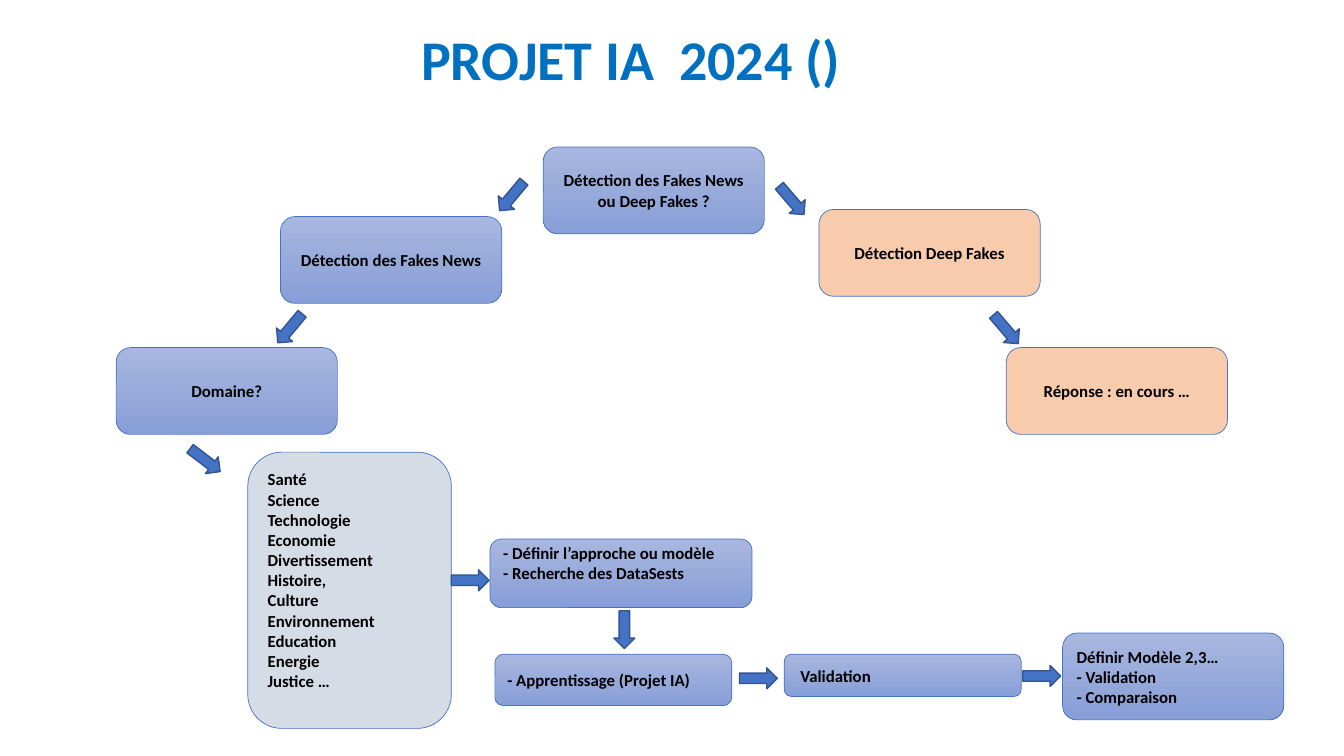
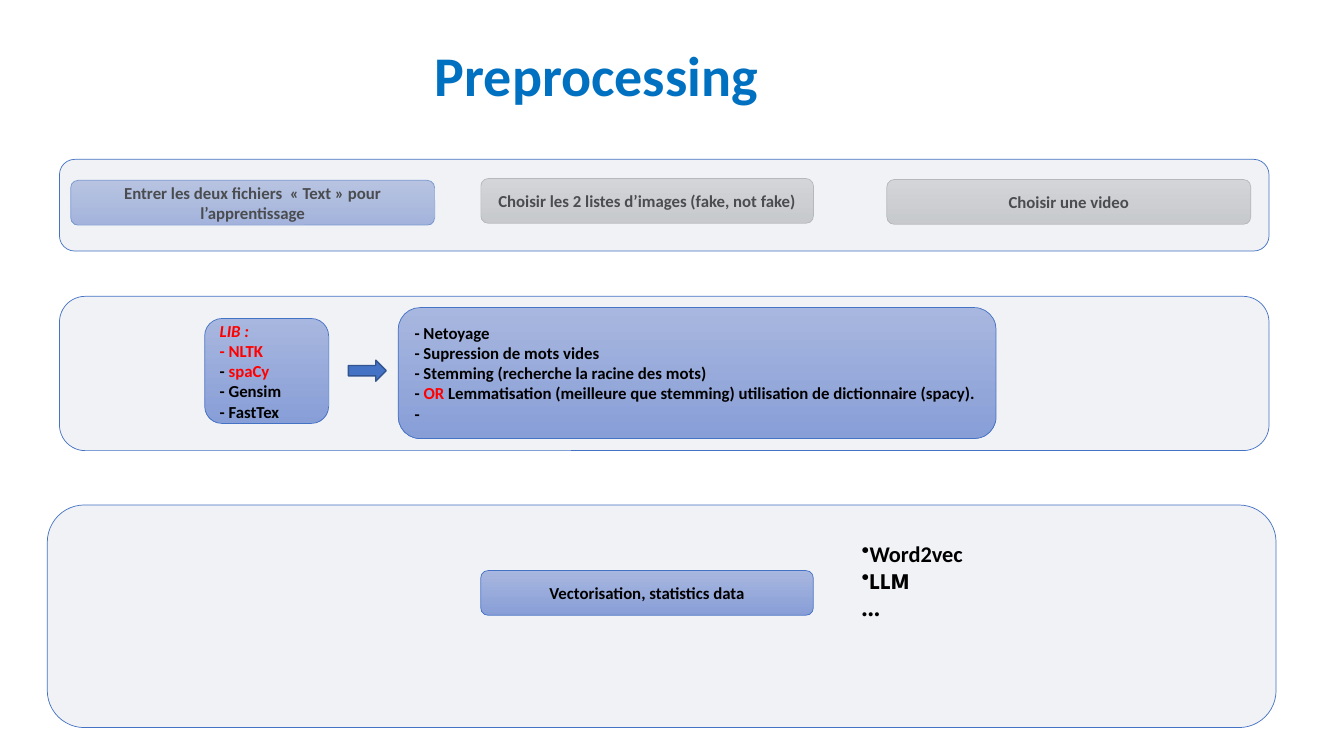
from lxml import etree
from pptx import Presentation
from pptx.dml.color import RGBColor
from pptx.enum.shapes import MSO_SHAPE
from pptx.enum.text import MSO_ANCHOR, MSO_AUTO_SIZE, PP_ALIGN
from pptx.oxml.ns import qn
from pptx.util import Pt

ROUND, ARROW = MSO_SHAPE.ROUNDED_RECTANGLE, MSO_SHAPE.UP_ARROW
LEFT, CENTER = PP_ALIGN.LEFT, PP_ALIGN.CENTER
MIDDLE, BOTTOM = MSO_ANCHOR.MIDDLE, MSO_ANCHOR.BOTTOM
NO_FIT, GROW = MSO_AUTO_SIZE.NONE, MSO_AUTO_SIZE.SHAPE_TO_FIT_TEXT
TITLE_ONLY = 5

COLORS = {
    "title": "0070C0", "text": "000000", "accent": "FF0000",
    "border": "4472C4", "arrow": "4472C4", "arrow_border": "325491",
    "blue_top": "A8B7DF", "blue_bottom": "889ED7",
    "gray_top": "D2D2D2", "gray_bottom": "C0C0C0", "gray_border": "A5A5A5",
    "peach": "F8CBAD", "band": "D6DCE5",
}
FILLS = {
    "blue": (("blue_top", "blue_bottom"), "border"),
    "gray": (("gray_top", "gray_bottom"), "gray_border"),
    "peach": (("peach",), "border"),
    "band": (("band",), "border"),
}
FONT = {"name": "Calibri", "size": Pt(12), "bold": True}
RED = {"color": "accent"}
NODE = (158, 62)
DOWN_LEFT, DOWN_RIGHT, RIGHT, DOWN = 219.9, 139.3, 90, 180
LINE_GAP = 14.6


def rgb(name):
    """Return the named colour."""
    return RGBColor.from_string(COLORS[name])


def add_run(p, text, color="text", **formats):
    """Add one formatted run to a paragraph."""
    r = p.add_run()
    r.text = text
    r.font.color.rgb = rgb(color)
    for name, value in {**FONT, **formats}.items():
        setattr(r.font, name, value)


def write(tf, paragraphs, align=LEFT, **formats):
    """Fill a frame with paragraphs, each a string or a list of (text, formats)."""
    for i, runs in enumerate(paragraphs):
        p = tf.paragraphs[0] if i == 0 else tf.add_paragraph()
        p.alignment = align
        if isinstance(runs, str):
            runs = [(runs, {})]
        for text, extra in runs:
            add_run(p, text, **{**formats, **extra})


def add_shape(s, kind, x, y, w, h, colors, border, width):
    """Add a shape with a plain or two-colour fill and no shadow."""
    sp = s.shapes.add_shape(kind, Pt(x), Pt(y), Pt(w), Pt(h))
    sp.shadow.inherit = False
    if len(colors) == 1:
        sp.fill.solid()
        sp.fill.fore_color.rgb = rgb(colors[0])
    else:
        sp.fill.gradient()
        sp.fill.gradient_angle = 270
        for stop, color in zip(sp.fill.gradient_stops, colors):
            stop.color.rgb = rgb(color)
    sp.line.color.rgb = rgb(border)
    sp.line.width = Pt(width)
    return sp


def add_box(s, x, y, w, h, paragraphs=(), look="blue", align=LEFT, **margins):
    """Add a rounded box with vertically centred text."""
    sp = add_shape(s, ROUND, x, y, w, h, *FILLS[look], 0.5)
    tf = sp.text_frame
    tf.word_wrap = True
    tf.vertical_anchor = MIDDLE
    for side, value in margins.items():
        setattr(tf, f"margin_{side}", Pt(value))
    write(tf, paragraphs, align)
    return sp


def add_band(s, x, y, w, h):
    """Add a translucent band."""
    sp = add_box(s, x, y, w, h, look="band")
    color = sp.element.spPr.find(".//" + qn("a:srgbClr"))
    etree.SubElement(color, qn("a:alpha"), val="35000")


def add_arrow(s, x, y, rotation):
    """Add a small block arrow turned to the given angle."""
    sp = add_shape(s, ARROW, x, y, 15, 27, ("arrow",), "arrow_border", 1)
    sp.rotation = rotation


def add_slide(prs, title, x, y):
    """Add a slide with its title."""
    s = prs.slides.add_slide(prs.slide_layouts[TITLE_ONLY])
    sp = s.shapes.title
    box = {"left": x, "top": y, "width": 767, "height": 42}
    for name, value in box.items():
        setattr(sp, name, Pt(value))
    tf = sp.text_frame
    tf.auto_size = NO_FIT
    tf.word_wrap = True
    tf.vertical_anchor = BOTTOM
    write(tf, [title], CENTER, color="title", size=Pt(40))
    tf.paragraphs[0].line_spacing = 0.9
    return s


def decision_tree(s, x, y):
    """Draw the choice between the two kinds of detection."""
    nodes = [
        (305, 0, "Détection des Fakes News ou Deep Fakes ?", "blue"),
        (117.4, 49.7, "Détection des Fakes News", "blue"),
        (502, 44.6, "Détection Deep Fakes", "peach"),
        (0, 143.3, "Domaine?", "blue"),
        (635.8, 143.3, "Réponse : en cours …", "peach"),
    ]
    for dx, dy, text, look in nodes:
        add_box(s, x + dx, y + dy, *NODE, [text], look, CENTER)
    arrows = [
        (275, 21.6, DOWN_LEFT), (116.6, 116, DOWN_LEFT),
        (475, 24.5, DOWN_RIGHT), (628, 116.7, DOWN_RIGHT),
        (56, 210.2, 127.3),
    ]
    for dx, dy, rotation in arrows:
        add_arrow(s, x + dx, y + dy, rotation)


def pipeline(s, x, y):
    """Draw the list of domains and the modelling steps after it."""
    domains = ["Santé", "Science", "Technologie", "Economie", "Divertissement",
               "Histoire,", "Culture", "Environnement", "Education", "Energie",
               "Justice …"]
    approach = ["- Définir l’approche ou modèle", "- Recherche des DataSests"]
    models = ["Définir Modèle 2,3…", "- Validation", "- Comparaison"]
    raised = {"bottom": 3.6 + LINE_GAP}
    steps = [
        (0, 0, 145.4, 197.3, domains, "band", raised),
        (173, 62, 187.2, 49, approach, "blue", raised),
        (176.5, 144.3, 169.2, 36.7, ["- Apprentissage (Projet IA)"], "blue", {}),
        (383.2, 144.3, 169.2, 30.2, ["Validation"], "blue", {"left": 10}),
        (582, 129.2, *NODE, models, "blue", {}),
    ]
    for dx, dy, w, h, text, look, margins in steps:
        add_box(s, x + dx, y + dy, w, h, text, look, **margins)
    arrows = [(151.3, 78, RIGHT), (261.5, 113.3, DOWN),
              (357.2, 148, RIGHT), (559.6, 146.4, RIGHT)]
    for dx, dy, rotation in arrows:
        add_arrow(s, x + dx, y + dy, rotation)


def input_band(s, x, y, w, h):
    """Draw the input choices, veiled by their band."""
    choices = [
        (8, 15, 260, "Entrer les deux fichiers  « Text » pour l’apprentissage", "blue"),
        (301, 13.7, 237.6, "Choisir les 2 listes d’images (fake, not fake)", "gray"),
        (591, 14.4, 260, "Choisir une video", "gray"),
    ]
    for dx, dy, width, text, look in choices:
        add_box(s, x + dx, y + dy, width, 32, [text], look, CENTER)
    add_band(s, x, y, w, h)


def cleaning_band(s, x, y, w, h):
    """Draw the libraries and the cleaning steps."""
    add_band(s, x, y, w, h)
    steps = [
        "- Netoyage",
        "- Supression de mots vides",
        "- Stemming (recherche la racine des mots)",
        [("- ", {}), ("OR", RED),
         (" Lemmatisation (meilleure que stemming) utilisation de dictionnaire (spacy).", {})],
        "-",
    ]
    libraries = [
        [("LIB :", {**RED, "italic": True})],
        [("- NLTK", RED)],
        [("- ", {}), ("spaCy", RED)],
        "- Gensim",
        "- FastTex",
    ]
    add_box(s, x + 242, y + 8, 427, 93.6, steps)
    add_box(s, x + 103.7, y + 15.8, 88.6, 75, libraries)
    add_arrow(s, x + 212.4, y + 39.6, RIGHT)


def vector_band(s, x, y, w, h):
    """Draw the vectorisation step and its methods."""
    add_band(s, x, y, w, h)
    add_box(s, x + 309.6, y + 46.8, 237.6, 32, ["Vectorisation, statistics data"],
            align=CENTER)
    tb = s.shapes.add_textbox(Pt(x + 574.6), Pt(y + 2.2), Pt(285), Pt(85))
    tf = tb.text_frame
    tf.word_wrap = True
    tf.auto_size = GROW
    tf.margin_top = Pt(23)
    spartan = {"name": "League Spartan"}
    write(tf, ["Word2vec", [("LLM", spartan)], [("…", spartan)]], size=Pt(16))
    for p in tf.paragraphs[:2]:
        pPr = p._p.get_or_add_pPr()
        etree.SubElement(pPr, qn("a:buChar"), char="•")


def main():
    """Build and save the presentation."""
    prs = Presentation()
    prs.slide_width, prs.slide_height = Pt(960), Pt(540)

    s = add_slide(prs, "PROJET IA  2024 ()", 67, 28)
    decision_tree(s, 83, 105)
    pipeline(s, 177, 323)

    s = add_slide(prs, "Preprocessing", 42.5, 39)
    input_band(s, 42.5, 113.8, 864, 65.5)
    cleaning_band(s, 42.5, 211.7, 864, 110.2)
    vector_band(s, 33.8, 360.7, 877.7, 159)

    prs.save("out.pptx")


if __name__ == "__main__":
    main()
